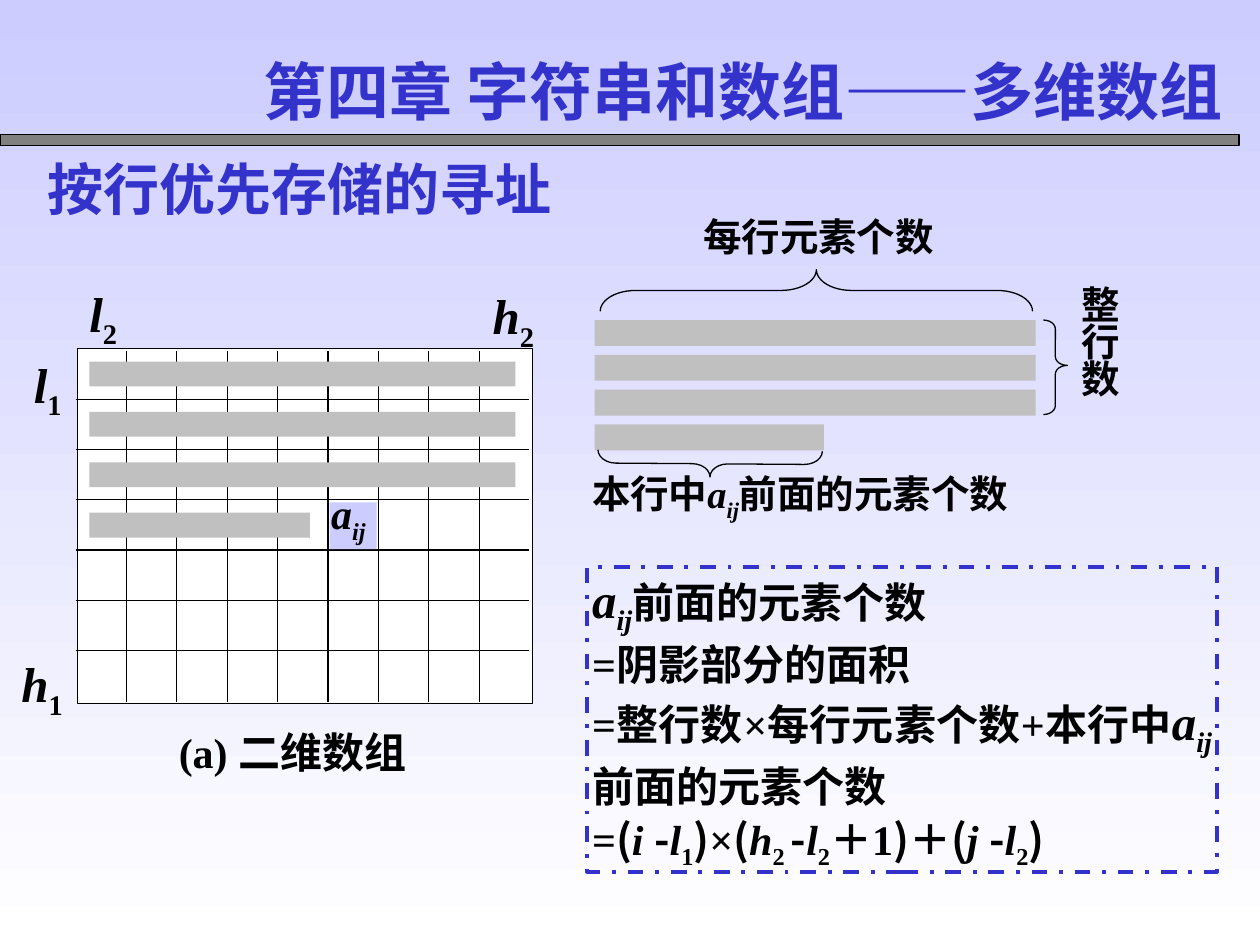
from lxml.etree import SubElement
from pptx import Presentation
from pptx.dml.color import RGBColor
from pptx.enum.dml import MSO_LINE
from pptx.enum.shapes import MSO_CONNECTOR, MSO_SHAPE
from pptx.enum.text import MSO_ANCHOR, PP_ALIGN
from pptx.oxml.ns import qn
from pptx.util import Pt

COLORS = {
    "blue": "3333CC", "lilac": "CCCCFF", "white": "FFFFFF",
    "black": "000000", "gray": "808080", "shade": "C0C0C0",
}
SERIF, SANS = "Times New Roman", "Noto Sans CJK SC"


def rgb(name):
    return RGBColor.from_string(COLORS[name])


def add_box(s, box, fill=None, line=None, width=0.75, kind=MSO_SHAPE.RECTANGLE):
    sp = s.shapes.add_shape(kind, *map(Pt, box))
    sp.shadow.inherit = False
    if fill:
        sp.fill.solid()
        sp.fill.fore_color.rgb = rgb(fill)
    else:
        sp.fill.background()
    if line:
        sp.line.color.rgb = rgb(line)
        sp.line.width = Pt(width)
    else:
        sp.line.fill.background()
    return sp


def add_brace(s, kind, box, curve, middle=0.5, rotation=0):
    sp = add_box(s, box, line="black", kind=kind)
    sp.adjustments[0] = curve
    sp.adjustments[1] = middle
    sp.rotation = rotation


def add_line(s, x1, y1, x2, y2):
    c = s.shapes.add_connector(MSO_CONNECTOR.STRAIGHT, Pt(x1), Pt(y1), Pt(x2), Pt(y2))
    c.line.color.rgb = rgb("black")
    c.line.width = Pt(0.75)
    SubElement(c._element.spPr, qn("a:effectLst"))


def write(sp, paragraphs, size, color="black", font=SERIF, ins=(0, 0),
          align=PP_ALIGN.JUSTIFY, spacing=None):
    """Each run is (text, style, size); style letters: i italic, _ subscript, s sans."""
    tf = sp.text_frame
    tf.word_wrap = True
    tf.vertical_anchor = MSO_ANCHOR.TOP
    tf.margin_left = tf.margin_right = Pt(ins[0])
    tf.margin_top = tf.margin_bottom = Pt(ins[1])
    for n, runs in enumerate(paragraphs):
        p = tf.add_paragraph() if n else tf.paragraphs[0]
        p.alignment = align
        if spacing:
            p.line_spacing = spacing
        for text, style, *own_size in runs:
            r = p.add_run()
            r.text = text
            f = r.font
            f.size = Pt(own_size[0] if own_size else size)
            f.bold, f.italic = True, "i" in style
            f.color.rgb = rgb(color)
            f.name = SANS if "s" in style else font
            rPr = r._r.get_or_add_rPr()
            SubElement(rPr, qn("a:ea")).set("typeface", SANS)
            if "_" in style:
                rPr.set("baseline", "-25000")


def add_text(s, box, runs, size, **options):
    sp = s.shapes.add_textbox(*map(Pt, box))
    write(sp, [runs], size, **options)
    return sp


def add_text_shadow(sp):
    for r in sp.text_frame.paragraphs[0].runs:
        rPr = r._r.get_or_add_rPr()
        effects = SubElement(rPr, qn("a:effectLst"))
        shadow = SubElement(effects, qn("a:outerShdw"), dist="25400", dir="2700000")
        SubElement(shadow, qn("a:srgbClr"), val=COLORS["gray"])
        rPr.find(qn("a:solidFill")).addnext(effects)


def a_ij(size):
    return [("a", "i", size), ("ij", "i_", size)]


def add_header(s):
    add_box(s, (0, 77, 708, 6), "gray", "black")
    title = add_text(s, (143.3, 26.6, 576.7, 50.4), [("第四章 字符串和数组——多维数组", "")], 36,
                     color="blue", font=SANS, ins=(7.2, 3.6), align=PP_ALIGN.LEFT)
    add_text_shadow(title)
    add_text(s, (20.2, 85, 635.8, 46), [("按行优先存储的寻址", "")], 32,
             color="blue", ins=(7.2, 3.6), align=PP_ALIGN.LEFT)


def add_array(s):
    # Grid of 7 rows and 9 columns
    add_box(s, (44.2, 199.2, 260, 203), "white", "black")
    for row in range(6):
        y = 228.2 + 28.7 * row
        add_line(s, 43.2, y, 302.4, y)
    for col in range(8):
        x = 72.2 + 28.8 * col
        add_line(s, x, 200.5, x, 401)

    # Shaded elements before a_ij
    for row, width in enumerate([243.4] * 3 + [126]):
        add_box(s, (51.1, 206.6 + 28.8 * row, width, 14.2), "shade")
    add_box(s, (188.4, 287.1, 26.8, 26.8), "lilac")
    add_text(s, (185, 278, 39, 34.6), a_ij(24), 24, ins=(4.3, 0.7), align=PP_ALIGN.LEFT)

    # Index bounds and caption
    for letter, index, x, y in (("l", "2", 51.1, 162), ("h", "2", 281.5, 163.4),
                                ("l", "1", 19.4, 202.3), ("h", "1", 12.2, 373.7)):
        add_text(s, (x, y, 30, 29), [(letter, "i"), (index, "_")], 28)
    add_text(s, (102.2, 415.4, 163.4, 46.8), [("(a) 二维数组", "")], 24)


def add_parts(s):
    # Full rows, then the partial row
    for row, width in enumerate([252] * 3 + [131]):
        add_box(s, (339.8, 182.9 + 19.9 * row, width, 14.8), "shade")
    add_brace(s, MSO_SHAPE.RIGHT_BRACE, (596.2, 182.9, 13.7, 54), 0.37, 0.48)
    add_brace(s, MSO_SHAPE.LEFT_BRACE, (454.6, 42.5, 23.8, 247), 0.85, rotation=90)
    add_brace(s, MSO_SHAPE.LEFT_BRACE, (398.2, 200.9, 15.1, 128.2), 0.68, rotation=270.4)
    add_text(s, (401.8, 121.7, 180.7, 27.4), [("每行元素个数", "")], 22)
    add_text(s, (617.8, 165.6, 27.4, 79.2), [("整行数", "")], 22, spacing=0.8)
    add_text(s, (338.4, 268.6, 280.8, 33.1),
             [("本行中", ""), *a_ij(22), ("前面的元素个数", "")], 22)


def add_formula(s):
    def diff(first, first_index, index):
        runs = [(first, "i")]
        if first_index:
            runs.append((first_index, "_"))
        return runs + [("-", "s"), ("l", "i"), (index, "_")]

    before = [*a_ij(28), ("前面的元素个数", "")]
    left, right = ("(", "s"), (")", "s")
    sp = add_box(s, (335.5, 324, 360, 174.2), line="blue", width=2.25)
    sp.line.dash_style = MSO_LINE.DASH_DOT
    write(sp, [
        before,
        [("=阴影部分的面积", "")],
        [("=整行数×每行元素个数+本行中", ""), *before],
        [("=", ""), left, *diff("i ", "", "1"), right, ("×", ""),
         left, *diff("h", "2 ", "2"), ("＋1", ""), right, ("＋", ""),
         left, *diff("j ", "", "2"), right],
    ], 24, ins=(2.9, 0), spacing=1.04)


def main():
    prs = Presentation()
    prs.slide_width, prs.slide_height = Pt(720), Pt(540)
    s = prs.slides.add_slide(prs.slide_layouts[6])

    # Background fades downwards from lilac to white
    fill = s.background.fill
    fill.gradient()
    fill.gradient_angle = 270
    for stop, name, position in zip(fill.gradient_stops, ("lilac", "white"), (0, 1)):
        stop.color.rgb = rgb(name)
        stop.position = position

    add_header(s)
    add_array(s)
    add_parts(s)
    add_formula(s)
    prs.save("out.pptx")


if __name__ == "__main__":
    main()
